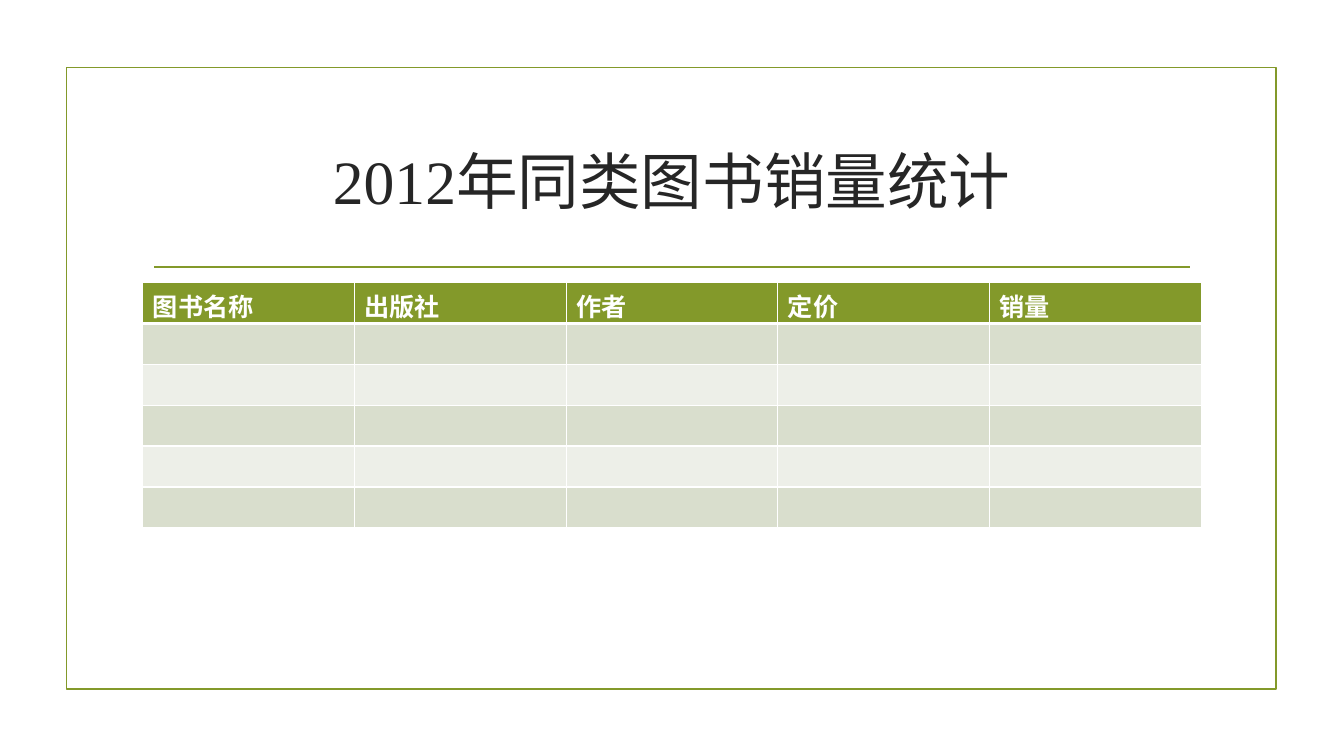
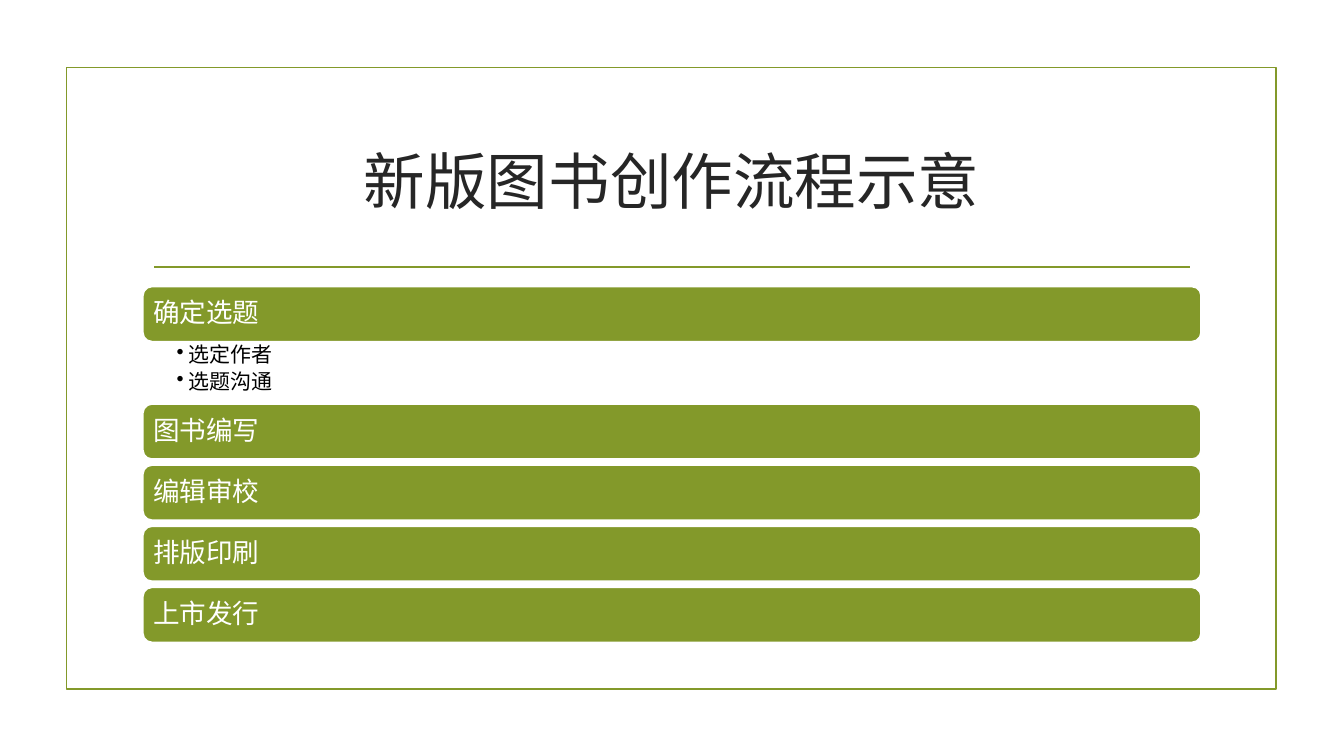
from dataclasses import dataclass

from lxml.etree import SubElement
from pptx import Presentation
from pptx.dml.color import RGBColor
from pptx.enum.shapes import MSO_CONNECTOR, MSO_SHAPE
from pptx.enum.text import MSO_ANCHOR, PP_ALIGN
from pptx.oxml.ns import qn
from pptx.presentation import Presentation as Deck
from pptx.slide import Slide
from pptx.table import _Cell
from pptx.text.text import TextFrame, _Paragraph
from pptx.util import Cm, Pt

# Shared look
GREEN = RGBColor(0x83, 0x99, 0x2A)
DARK = RGBColor(0x26, 0x26, 0x26)
BLACK = RGBColor(0, 0, 0)
WHITE = RGBColor(0xFF, 0xFF, 0xFF)
BANDS = (RGBColor(0xD9, 0xDE, 0xCD), RGBColor(0xED, 0xEF, 0xE8))
FONT = "Times New Roman"
LEFT, WIDTH = 3.6, 26.67  # content column, in cm
LINE = Pt(1.25)


@dataclass(frozen=True)
class Step:
    name: str
    details: tuple[str, ...] = ()


HEADINGS = ("图书名称", "出版社", "作者", "定价", "销量")
STEPS = (
    Step("确定选题", ("选定作者", "选题沟通")),
    Step("图书编写"),
    Step("编辑审校"),
    Step("排版印刷"),
    Step("上市发行"),
)


def add_run(p: _Paragraph, text: str, size: int, color: RGBColor, bold: bool = False) -> None:
    r = p.add_run()
    r.text = text
    r.font.name, r.font.size, r.font.bold = FONT, Pt(size), bold
    r.font.color.rgb = color


def set_insets(tf: TextFrame, left: float, top: float, right: float) -> None:
    tf.word_wrap = True
    tf.margin_left, tf.margin_right = Cm(left), Cm(right)
    tf.margin_top = tf.margin_bottom = Cm(top)


def add_titled_slide(prs: Deck, title: str) -> Slide:
    s = prs.slides.add_slide(prs.slide_layouts[6])

    # Frame
    frame = s.shapes.add_shape(MSO_SHAPE.RECTANGLE, Cm(1.68), Cm(1.7), Cm(30.48), Cm(15.67))
    frame.shadow.inherit = False
    frame.fill.background()
    frame.line.color.rgb, frame.line.width = GREEN, LINE

    # Rule under the title
    rule = s.shapes.add_connector(MSO_CONNECTOR.STRAIGHT, Cm(3.89), Cm(6.73), Cm(30), Cm(6.73))
    rule.line.color.rgb, rule.line.width = GREEN, LINE
    SubElement(rule._element.spPr, qn("a:effectLst"))

    # Title
    tf = s.shapes.add_textbox(Cm(LEFT), Cm(2.72), Cm(WIDTH), Cm(3.63)).text_frame
    tf.word_wrap = True
    tf.vertical_anchor = MSO_ANCHOR.MIDDLE
    p = tf.paragraphs[0]
    p.alignment = PP_ALIGN.CENTER
    add_run(p, title, 44, DARK)
    return s


def set_borders(cell: _Cell, top: int, bottom: int) -> None:
    tc_pr = cell._tc.get_or_add_tcPr()
    for side, width in (("L", 1), ("R", 1), ("T", top), ("B", bottom)):
        ln = SubElement(tc_pr, qn(f"a:ln{side}"), w=str(Pt(width)))
        SubElement(SubElement(ln, qn("a:solidFill")), qn("a:srgbClr"), val=str(WHITE))


def add_sales_table(s: Slide, rows: int) -> None:
    row_h = 1.03
    table = s.shapes.add_table(
        rows, len(HEADINGS), Cm(LEFT), Cm(7.12), Cm(WIDTH), Cm(row_h * rows)
    ).table
    for i, row in enumerate(table.rows):
        row.height = Cm(row_h)
        for j, cell in enumerate(row.cells):
            set_borders(cell, top=3 if i == 1 else 1, bottom=3 if i == 0 else 1)
            cell.fill.solid()
            cell.fill.fore_color.rgb = BANDS[(i - 1) % 2] if i else GREEN
            if i == 0:
                add_run(cell.text_frame.paragraphs[0], HEADINGS[j], 18, WHITE, bold=True)


def add_bar(s: Slide, name: str, top: float, height: float) -> None:
    sp = s.shapes.add_shape(
        MSO_SHAPE.ROUNDED_RECTANGLE, Cm(LEFT), Cm(top), Cm(WIDTH), Cm(height)
    )
    sp.shadow.inherit = False
    sp.fill.solid()
    sp.fill.fore_color.rgb = GREEN
    sp.line.color.rgb, sp.line.width = WHITE, LINE
    tf = sp.text_frame
    set_insets(tf, 0.2, 0.2, 0.2)
    tf.vertical_anchor = MSO_ANCHOR.MIDDLE
    p = tf.paragraphs[0]
    p.alignment, p.line_spacing = PP_ALIGN.LEFT, 0.9
    add_run(p, name, 19, WHITE)


def add_details(s: Slide, details: tuple[str, ...], top: float, height: float) -> None:
    tf = s.shapes.add_textbox(Cm(LEFT), Cm(top), Cm(WIDTH), Cm(height)).text_frame
    set_insets(tf, 0.85, 0.07, 0.38)
    for i, text in enumerate(details):
        p = tf.add_paragraph() if i else tf.paragraphs[0]
        p.line_spacing, p.space_after = 0.9, Pt(3)
        p_pr = p._p.get_or_add_pPr()
        p_pr.set("marL", str(Cm(0.3)))
        p_pr.set("indent", str(-Cm(0.3)))
        SubElement(p_pr, qn("a:buChar"), char="•")
        add_run(p, text, 15, BLACK)


def add_process(s: Slide) -> None:
    bar_h, details_h, gap = 1.39, 1.57, 0.15
    top = 7.22
    for step in STEPS:
        add_bar(s, step.name, top, bar_h)
        top += bar_h
        if step.details:
            add_details(s, step.details, top, details_h)
        top += details_h if step.details else gap


def main() -> None:
    prs = Presentation()
    prs.slide_width, prs.slide_height = Cm(33.87), Cm(19.05)
    add_sales_table(add_titled_slide(prs, "2012年同类图书销量统计"), rows=6)
    add_process(add_titled_slide(prs, "新版图书创作流程示意"))
    prs.save("out.pptx")


if __name__ == "__main__":
    main()
